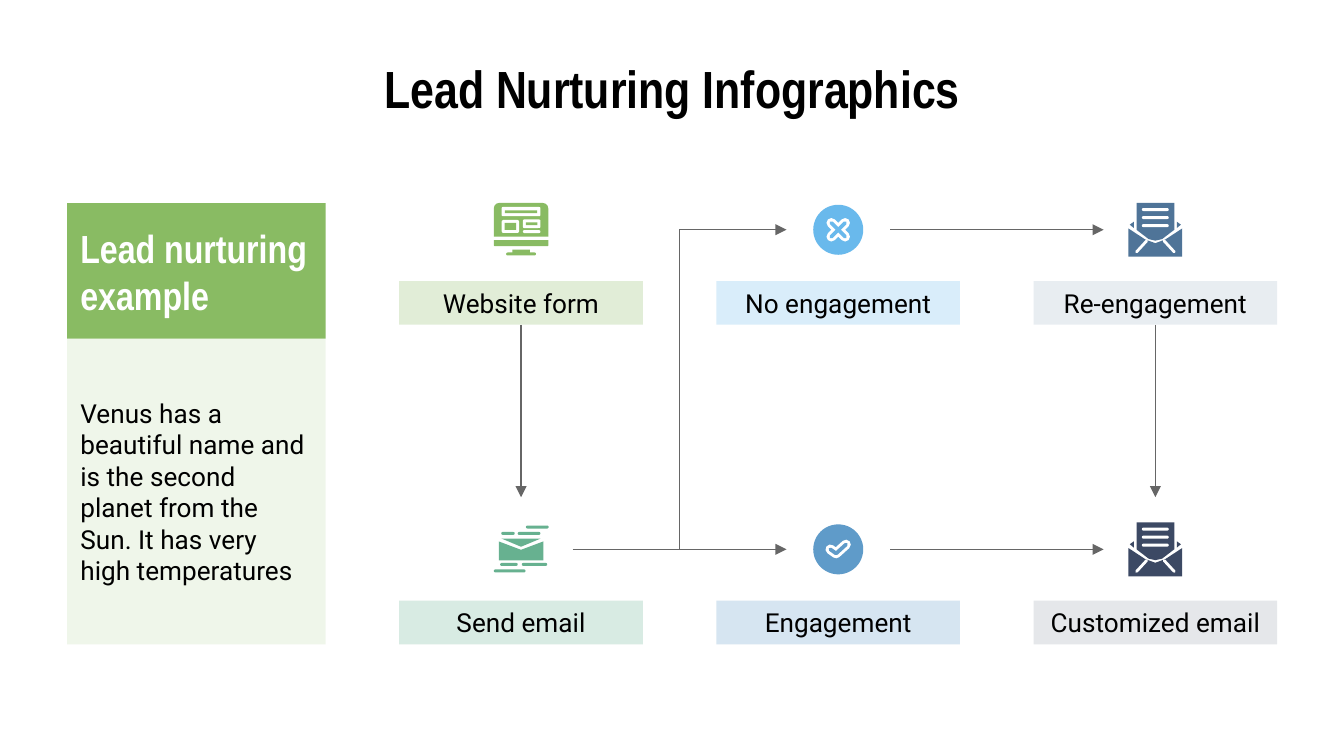
from lxml.etree import SubElement
from pptx import Presentation
from pptx.dml.color import RGBColor
from pptx.enum.shapes import MSO_CONNECTOR, MSO_SHAPE
from pptx.enum.text import MSO_ANCHOR, MSO_AUTO_SIZE, PP_ALIGN
from pptx.oxml.ns import qn
from pptx.util import Pt

# Content
HEADING = "Lead Nurturing Infographics"
EXAMPLE_HEADING = "Lead nurturing example"
EXAMPLE_TEXT = ("Venus has a beautiful name and is the second planet from "
                "the Sun. It has very high temperatures")
# label, column, row, colour, label opacity in percent, icon
STEPS = [
    ("Website form", 0, 0, "89BB63", 25, "monitor"),
    ("Send email", 0, 1, "67B190", 25, "sending"),
    ("No engagement", 1, 0, "69B9EC", 25, "cross"),
    ("Engagement", 1, 1, "5F9BC9", 25, "check"),
    ("Re-engagement", 2, 0, "4F7498", 13, "letter"),
    ("Customized email", 2, 1, "3C4964", 13, "letter"),
]
GREEN, BLACK, WHITE, GREY = "89BB63", "000000", "FFFFFF", "666666"
TITLE_FONT, TEXT_FONT = "Arial Narrow", "Roboto"

# Icon parts, in points from the icon centre; TINT stands for the step colour
TINT = None
RECT, PILL = MSO_SHAPE.RECTANGLE, MSO_SHAPE.ROUNDED_RECTANGLE
TOP_ROUND, DISC = MSO_SHAPE.ROUND_2_SAME_RECTANGLE, MSO_SHAPE.OVAL
CROSS = [[(-3.7, -3.7), (3.7, 3.7)], [(-3.7, 3.7), (3.7, -3.7)]]
CHECK = [[(-4.2, 0), (-1.1, 2.2), (4.2, -2.6)]]


def badge(marks):
    """A disc holding a mark outlined in white."""
    return ([("box", DISC, (-13.4, -13.4, 26.8, 26.8), 0, TINT)]
            + [("stroke", mark, 5.2, WHITE) for mark in marks]
            + [("stroke", mark, 2, TINT) for mark in marks])


def mirrored(points):
    return [(-x, y) for x, y in points]


SIDE_FLAP = [(-11.5, -4.3), (-13.7, -2.7), (-11.5, -0.9)]
FOLD = [(-4.7, 6), (-10.1, 11.9)]
ICONS = {
    "monitor": [
        ("box", TOP_ROUND, (-14.6, -14.4, 29.2, 18), 0, TINT),
        ("box", TOP_ROUND, (-14.6, 5.6, 29.2, 3.2), 180, TINT),
        ("box", RECT, (-4.7, 10.6, 9.4, 2), 0, TINT),
        ("box", PILL, (-8, 12.2, 16, 1.6), 0, TINT),
        ("box", PILL, (-10.4, -12.2, 20.8, 5), 0, WHITE),
        ("box", RECT, (-8.7, -10.4, 17.4, 1.5), 0, TINT),
        ("box", PILL, (-10.4, -5.3, 9.4, 7), 0, WHITE),
        ("box", RECT, (-8.8, -3.7, 6.2, 3.8), 0, TINT),
        ("box", PILL, (1, -5.5, 9.4, 4.6), 0, WHITE),
        ("box", RECT, (2.6, -3.9, 6.2, 1.4), 0, TINT),
        ("box", PILL, (1, 0.2, 9.4, 1.6), 0, WHITE),
    ],
    "sending": [
        ("outline", [(-11.9, -4.2), (0, 0.3), (11.9, -4.2), (11.9, 5.9),
                     (-11.9, 5.9)], TINT),
        ("outline", [(-10.5, -5.8), (0, -1.4), (10.5, -5.8)], TINT),
    ] + [("box", PILL, (x, y, width, 1.6), 0, TINT) for x, y, width in [
        (2.6, -12.7, 12.2), (-10.6, -9.3, 7.2), (-1.8, -9.3, 12.2),
        (-11.2, 7.3, 9.4), (0.4, 7.3, 13.6), (-14.6, 10.8, 17)]],
    "cross": badge(CROSS),
    "check": badge(CHECK),
    "letter": [
        ("outline", [(-10.1, -14.4), (10.1, -14.4), (10.1, 0), (3.6, 5),
                     (0, 5.8), (-3.6, 5), (-10.1, 0)], TINT),
        ("outline", [(-14.4, -0.7), (-5.4, 5.2), (0, 7.2), (5.4, 5.2),
                     (14.4, -0.7), (14.4, 14.4), (-14.4, 14.4)], TINT),
        ("outline", SIDE_FLAP, TINT),
        ("outline", mirrored(SIDE_FLAP), TINT),
        ("stroke", FOLD, 1.5, WHITE),
        ("stroke", mirrored(FOLD), 1.5, WHITE),
    ] + [("box", PILL, (-7.2, y, 14.4, 1.6), 0, WHITE)
         for y in (-11.6, -7.3, -3)],
}

# Layout
LABEL_W, LABEL_H = 130.5, 23.4
LABEL_X, LABEL_Y = 213.9, 150.6
COLUMN_PITCH, ROW_PITCH = 169.9, 171.2
ICON_Y = 123.1
ARROW_START, ARROW_END = 27.8, 142.2   # from one icon centre towards the next


def rgb(value):
    return RGBColor.from_string(value)


def paint(shape, color, opacity=100):
    shape.shadow.inherit = False
    shape.line.fill.background()
    shape.fill.solid()
    shape.fill.fore_color.rgb = rgb(color)
    if opacity < 100:
        srgb = shape.fill._xPr.find(".//" + qn("a:srgbClr"))
        SubElement(srgb, qn("a:alpha")).set("val", str(opacity * 1000))


def write(shape, text, size, font, color, align, bold=False):
    frame = shape.text_frame
    frame.text = text
    frame.word_wrap = True
    frame.auto_size = MSO_AUTO_SIZE.NONE
    frame.vertical_anchor = MSO_ANCHOR.MIDDLE
    frame.margin_left = frame.margin_right = Pt(7.2)
    frame.margin_top = frame.margin_bottom = Pt(7.2)
    paragraph = frame.paragraphs[0]
    paragraph.alignment = align
    style = paragraph.runs[0].font
    style.size, style.name, style.bold = Pt(size), font, bold
    style.color.rgb = rgb(color)


def panel(x, y, width, height, color, opacity=100):
    shape = slide.shapes.add_shape(RECT, Pt(x), Pt(y), Pt(width), Pt(height))
    paint(shape, color, opacity)
    return shape


def draw_icon(name, cx, cy, tint):
    shapes = slide.shapes.add_group_shape().shapes
    for kind, *part, color in ICONS[name]:
        color = color or tint
        if kind == "box":
            preset, (x, y, width, height), turn = part
            shape = shapes.add_shape(preset, Pt(cx + x), Pt(cy + y), Pt(width), Pt(height))
            shape.rotation = turn
            if preset == PILL:
                shape.adjustments[0] = 0.5 if height < 2 else 0.15
            paint(shape, color)
            continue
        points = [(Pt(cx + x), Pt(cy + y)) for x, y in part[0]]
        builder = shapes.build_freeform(*points[0])
        builder.add_line_segments(points[1:], close=kind == "outline")
        shape = builder.convert_to_shape()
        paint(shape, color)
        if kind == "stroke":
            shape.fill.background()
            shape.line.color.rgb = rgb(color)
            shape.line.width = Pt(part[1])
            line = shape.line._get_or_add_ln()
            line.set("cap", "rnd")
            SubElement(line, qn("a:round"))


def arrow(x1, y1, x2, y2, kind=MSO_CONNECTOR.STRAIGHT):
    connector = slide.shapes.add_connector(kind, Pt(x1), Pt(y1), Pt(x2), Pt(y2))
    connector.line.color.rgb = rgb(GREY)
    connector.line.width = Pt(0.75)
    SubElement(connector.line._get_or_add_ln(), qn("a:tailEnd")).set("type", "triangle")
    SubElement(connector._element.spPr, qn("a:effectLst"))
    return connector


prs = Presentation()
prs.slide_width, prs.slide_height = Pt(720), Pt(405)
slide = prs.slides.add_slide(prs.slide_layouts[5])

# Title
title = slide.shapes.title
title.left, title.top, title.width, title.height = Pt(36), Pt(32.4), Pt(648), Pt(29.5)
write(title, HEADING, 28, TITLE_FONT, BLACK, PP_ALIGN.CENTER, True)

# Example panel
write(panel(36, 181.5, 138.5, 163.7, GREEN, 13), EXAMPLE_TEXT,
      14, TEXT_FONT, BLACK, PP_ALIGN.LEFT)
write(panel(36, 108.8, 138.5, 72.7, GREEN), EXAMPLE_HEADING,
      21, TITLE_FONT, WHITE, PP_ALIGN.LEFT, True)

# Steps
centres = [LABEL_X + LABEL_W / 2 + column * COLUMN_PITCH for column in range(3)]
icon_rows = [ICON_Y, ICON_Y + ROW_PITCH]
labels = {}
for text, column, row, color, opacity, icon in STEPS:
    label = panel(LABEL_X + column * COLUMN_PITCH, LABEL_Y + row * ROW_PITCH,
                  LABEL_W, LABEL_H, color, opacity)
    write(label, text, 14, TEXT_FONT, BLACK, PP_ALIGN.CENTER)
    labels[column, row] = label
    draw_icon(icon, centres[column], icon_rows[row], color)

# Arrows down the outer columns
for column in (0, 2):
    down = arrow(centres[column], LABEL_Y + LABEL_H, centres[column], 266.4)
    down.begin_connect(labels[column, 0], 2)

# Arrows from left to right, and the branch up to no engagement
top, bottom = icon_rows
for column, start, end in [(0, bottom, bottom), (1, top, top), (1, bottom, bottom)]:
    arrow(centres[column] + ARROW_START, start, centres[column] + ARROW_END, end)
arrow(centres[0] + ARROW_START, bottom, centres[0] + ARROW_END, top, MSO_CONNECTOR.ELBOW)

prs.save("out.pptx")
